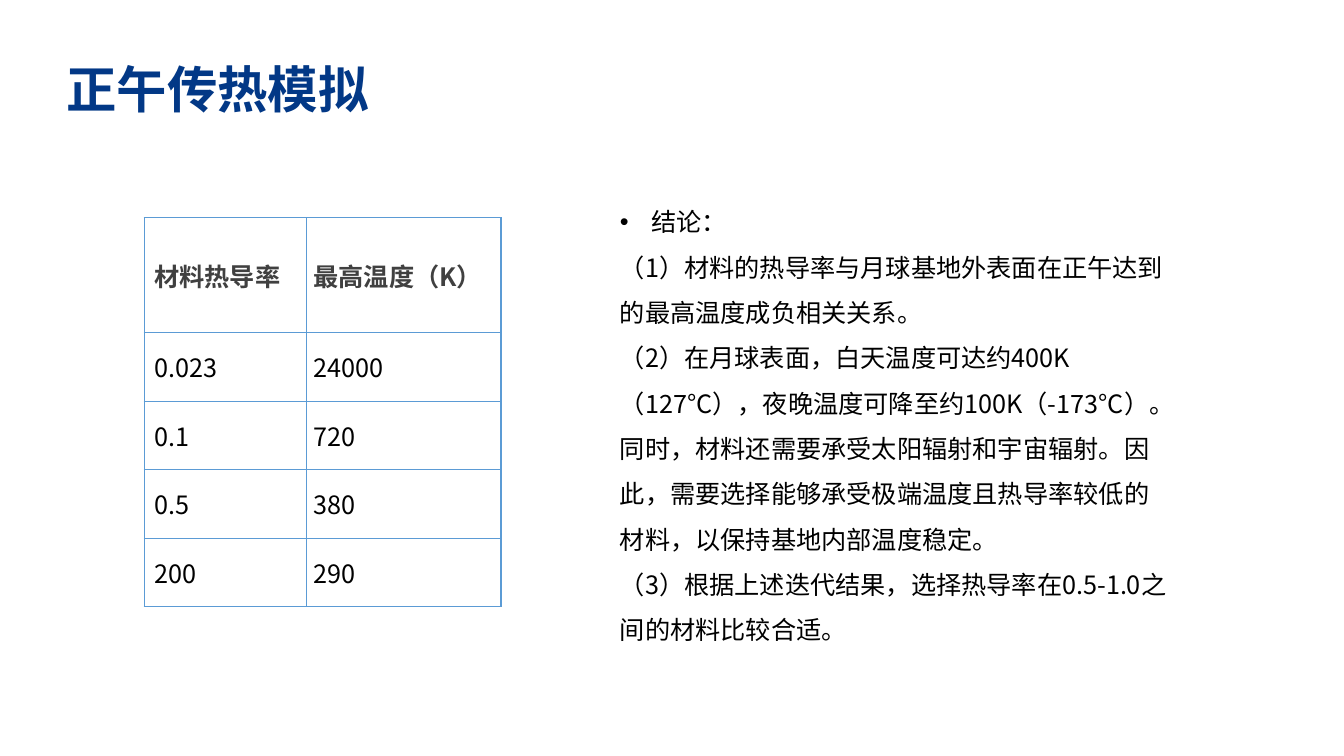
from lxml.etree import SubElement
from pptx import Presentation
from pptx.dml.color import RGBColor
from pptx.enum.text import MSO_ANCHOR, MSO_AUTO_SIZE
from pptx.oxml.ns import qn
from pptx.util import Inches, Pt

NAVY = RGBColor(0x02, 0x38, 0x86)
GRAY = RGBColor(0x40, 0x40, 0x40)
BLACK = RGBColor(0, 0, 0)
BORDER_BLUE = RGBColor(0x5B, 0x9B, 0xD5)

TEMPERATURES = [
    ("材料热导率", "最高温度（K）"),
    ("0.023", "24000"),
    ("0.1", "720"),
    ("0.5", "380"),
    ("200", "290"),
]
CONCLUSIONS = [
    "结论：",
    "（1）材料的热导率与月球基地外表面在正午达到的最高温度成负相关关系。",
    "（2）在月球表面，白天温度可达约400K（127°C），夜晚温度可降至约100K（-173°C）。"
    "同时，材料还需要承受太阳辐射和宇宙辐射。因此，需要选择能够承受极端温度且"
    "热导率较低的材料，以保持基地内部温度稳定。",
    "（3）根据上述迭代结果，选择热导率在0.5-1.0之间的材料比较合适。",
]


class SlideBuilder:
    font_name = "Noto Sans CJK SC"
    body_size = 18
    title_size = 36

    def __init__(self, slide):
        self.slide = slide

    def style(self, paragraph, size, color, bold=False):
        font = paragraph.font
        font.name = self.font_name
        font.size = Pt(size)
        font.bold = bold
        font.color.rgb = color
        properties = paragraph._p.pPr.find(qn("a:defRPr"))
        SubElement(properties, qn("a:ea")).set("typeface", self.font_name)

    def text_frame(self, left, top, width, height):
        box = self.slide.shapes.add_textbox(
            Inches(left), Inches(top), Inches(width), Inches(height))
        frame = box.text_frame
        frame.word_wrap = True
        frame.auto_size = MSO_AUTO_SIZE.SHAPE_TO_FIT_TEXT
        return frame

    def title(self, text, *bounds):
        paragraph = self.text_frame(*bounds).paragraphs[0]
        paragraph.text = text
        self.style(paragraph, self.title_size, NAVY, bold=True)

    def bulleted_text(self, texts, *bounds):
        """Write paragraphs, with a bullet on the first one only."""
        frame = self.text_frame(*bounds)
        frame.text = "\n".join(texts)
        for index, paragraph in enumerate(frame.paragraphs):
            paragraph.line_spacing = 1.5
            if index == 0:
                self.bullet(paragraph)
            self.style(paragraph, self.body_size, BLACK)

    def bullet(self, paragraph):
        indent = Inches(0.31)
        properties = paragraph._p.get_or_add_pPr()
        properties.set("marL", str(indent))
        properties.set("indent", str(-indent))
        SubElement(properties, qn("a:buFont")).set("typeface", "Arial")
        SubElement(properties, qn("a:buChar")).set("char", "•")

    def table(self, rows, left, top, column_widths, row_heights):
        frame = self.slide.shapes.add_table(
            len(rows), len(column_widths), Inches(left), Inches(top),
            Inches(sum(column_widths)), Inches(sum(row_heights)))
        table = frame.table
        table.first_row = table.horz_banding = False
        for column, width in zip(table.columns, column_widths):
            column.width = Inches(width)
        for row, height in zip(table.rows, row_heights):
            row.height = Inches(height)
        for row_index, values in enumerate(rows):
            for column_index, value in enumerate(values):
                cell = table.cell(row_index, column_index)
                self.fill_cell(cell, value, row_index == 0)
                if column_index == 0:
                    cell.margin_left = Inches(0.1)

    def fill_cell(self, cell, text, is_header):
        cell.text = text
        cell.vertical_anchor = MSO_ANCHOR.MIDDLE
        cell.margin_left = cell.margin_right = Inches(0.07)
        cell.margin_top = cell.margin_bottom = Inches(0.07)
        self.cell_borders(cell)
        cell.fill.background()
        color = GRAY if is_header else BLACK
        self.style(cell.text_frame.paragraphs[0], self.body_size, color, is_header)

    def cell_borders(self, cell):
        properties = cell._tc.get_or_add_tcPr()
        for side in ("lnL", "lnR", "lnT", "lnB"):
            line = SubElement(properties, qn(f"a:{side}"), w=str(Pt(1)))
            fill = SubElement(line, qn("a:solidFill"))
            SubElement(fill, qn("a:srgbClr"), val=str(BORDER_BLUE))


def main():
    presentation = Presentation()
    presentation.slide_width = Inches(13.33)
    presentation.slide_height = Inches(7.5)
    builder = SlideBuilder(presentation.slides.add_slide(presentation.slide_layouts[6]))
    builder.title("正午传热模拟", 0.56, 0.53, 8.9, 0.71)
    builder.table(TEMPERATURES, 1.43, 2.16, [1.61, 1.93], [1.14] + [0.68] * 4)
    builder.bulleted_text(CONCLUSIONS, 6.05, 1.85, 5.66, 4.6)
    presentation.save("out.pptx")


if __name__ == "__main__":
    main()
